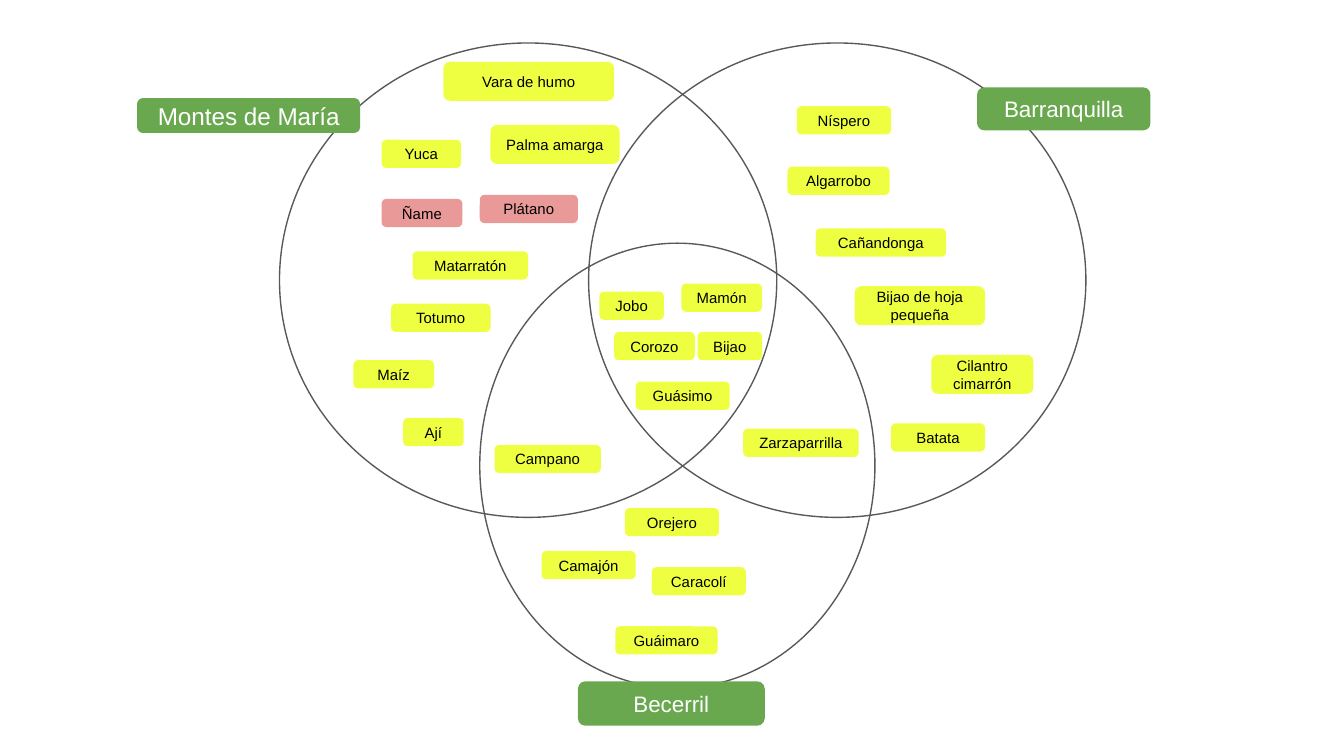
from pptx import Presentation
from pptx.dml.color import RGBColor
from pptx.enum.shapes import MSO_SHAPE
from pptx.enum.text import MSO_ANCHOR, PP_ALIGN
from pptx.util import Inches, Pt

OVAL = MSO_SHAPE.OVAL
ROUNDED = MSO_SHAPE.ROUNDED_RECTANGLE
MIDDLE = MSO_ANCHOR.MIDDLE
CENTER = PP_ALIGN.CENTER

GRAY = RGBColor(0x59, 0x59, 0x59)
GREEN = RGBColor(0x6A, 0xA8, 0x4F)
YELLOW = RGBColor(0xEE, 0xFF, 0x41)
PINK = RGBColor(0xEA, 0x99, 0x99)
BLACK = RGBColor(0x00, 0x00, 0x00)
WHITE = RGBColor(0xFF, 0xFF, 0xFF)

ONE_LINE = 0.21
TALL = 0.29

# Widescreen page, 16:9
deck = Presentation()
deck.slide_width = Inches(10)
deck.slide_height = Inches(10 * 9 / 16)
page = deck.slides.add_slide(deck.slide_layouts[6])


def add_label(text, left, top, width, height, fill, size, color):
    box = page.shapes.add_shape(
        ROUNDED, Inches(left), Inches(top), Inches(width), Inches(height))
    box.shadow.inherit = False
    box.fill.solid()
    box.fill.fore_color.rgb = fill
    box.line.fill.background()
    frame = box.text_frame
    frame.word_wrap = True
    frame.vertical_anchor = MIDDLE
    frame.margin_left = frame.margin_right = Inches(0.1)
    frame.margin_top = frame.margin_bottom = Inches(0.1)
    frame.text = text
    para = frame.paragraphs[0]
    para.alignment = CENTER
    font = para.runs[0].font
    font.name = "Arial"
    font.size = Pt(size)
    font.color.rgb = color


# Venn circles: left, top, width, height
circles = [
    (2.08, 0.32, 3.7, 3.53),
    (4.38, 0.32, 3.7, 3.53),
    (3.57, 1.81, 2.94, 3.31),
]
for bounds in circles:
    circle = page.shapes.add_shape(OVAL, *[Inches(length) for length in bounds])
    circle.shadow.inherit = False
    circle.fill.background()
    circle.line.color.rgb = GRAY
    circle.line.width = Pt(0.75)

# Plants: name, left, top, width, height, fill
plants = [
    # Shared by all three places
    ("Jobo", 4.46, 2.17, 0.48, ONE_LINE, YELLOW),
    ("Mamón", 5.07, 2.11, 0.6, ONE_LINE, YELLOW),
    ("Corozo", 4.57, 2.47, 0.6, ONE_LINE, YELLOW),
    ("Bijao", 5.19, 2.47, 0.48, ONE_LINE, YELLOW),
    ("Guásimo", 4.73, 2.84, 0.7, ONE_LINE, YELLOW),
    # Barranquilla
    ("Níspero", 5.93, 0.79, 0.7, ONE_LINE, YELLOW),
    ("Algarrobo", 5.86, 1.24, 0.76, ONE_LINE, YELLOW),
    ("Cañandonga", 6.07, 1.7, 0.97, ONE_LINE, YELLOW),
    ("Bijao de hoja pequeña", 6.36, 2.13, 0.97, TALL, YELLOW),
    ("Cilantro cimarrón", 6.93, 2.64, 0.76, TALL, YELLOW),
    ("Batata", 6.63, 3.15, 0.7, ONE_LINE, YELLOW),
    # Montes de María
    ("Vara de humo", 3.3, 0.46, 1.27, TALL, YELLOW),
    ("Palma amarga", 3.65, 0.93, 0.96, TALL, YELLOW),
    ("Yuca", 2.84, 1.04, 0.59, ONE_LINE, YELLOW),
    ("Ñame", 2.84, 1.48, 0.6, ONE_LINE, PINK),
    ("Plátano", 3.57, 1.45, 0.73, ONE_LINE, PINK),
    ("Matarratón", 3.07, 1.87, 0.86, ONE_LINE, YELLOW),
    ("Totumo", 2.91, 2.26, 0.74, ONE_LINE, YELLOW),
    ("Maíz", 2.63, 2.68, 0.6, ONE_LINE, YELLOW),
    ("Ají", 3, 3.11, 0.45, ONE_LINE, YELLOW),
    # Becerril and its overlaps
    ("Campano", 3.68, 3.31, 0.79, ONE_LINE, YELLOW),
    ("Zarzaparrilla", 5.53, 3.19, 0.86, ONE_LINE, YELLOW),
    ("Orejero", 4.65, 3.78, 0.7, ONE_LINE, YELLOW),
    ("Camajón", 4.03, 4.1, 0.7, ONE_LINE, YELLOW),
    ("Caracolí", 4.85, 4.22, 0.7, ONE_LINE, YELLOW),
    ("Guáimaro", 4.58, 4.66, 0.76, ONE_LINE, YELLOW),
]
for name, left, top, width, height, fill in plants:
    add_label(name, left, top, width, height, fill, 8, BLACK)

# Place names: name, left, top, width, height, text size
places = [
    ("Montes de María", 1.02, 0.73, 1.66, 0.26, 13),
    ("Barranquilla", 7.27, 0.65, 1.29, 0.32, 12),
    ("Becerril", 4.3, 5.07, 1.39, 0.33, 12),
]
for name, left, top, width, height, size in places:
    add_label(name, left, top, width, height, GREEN, size, WHITE)

deck.save("out.pptx")
